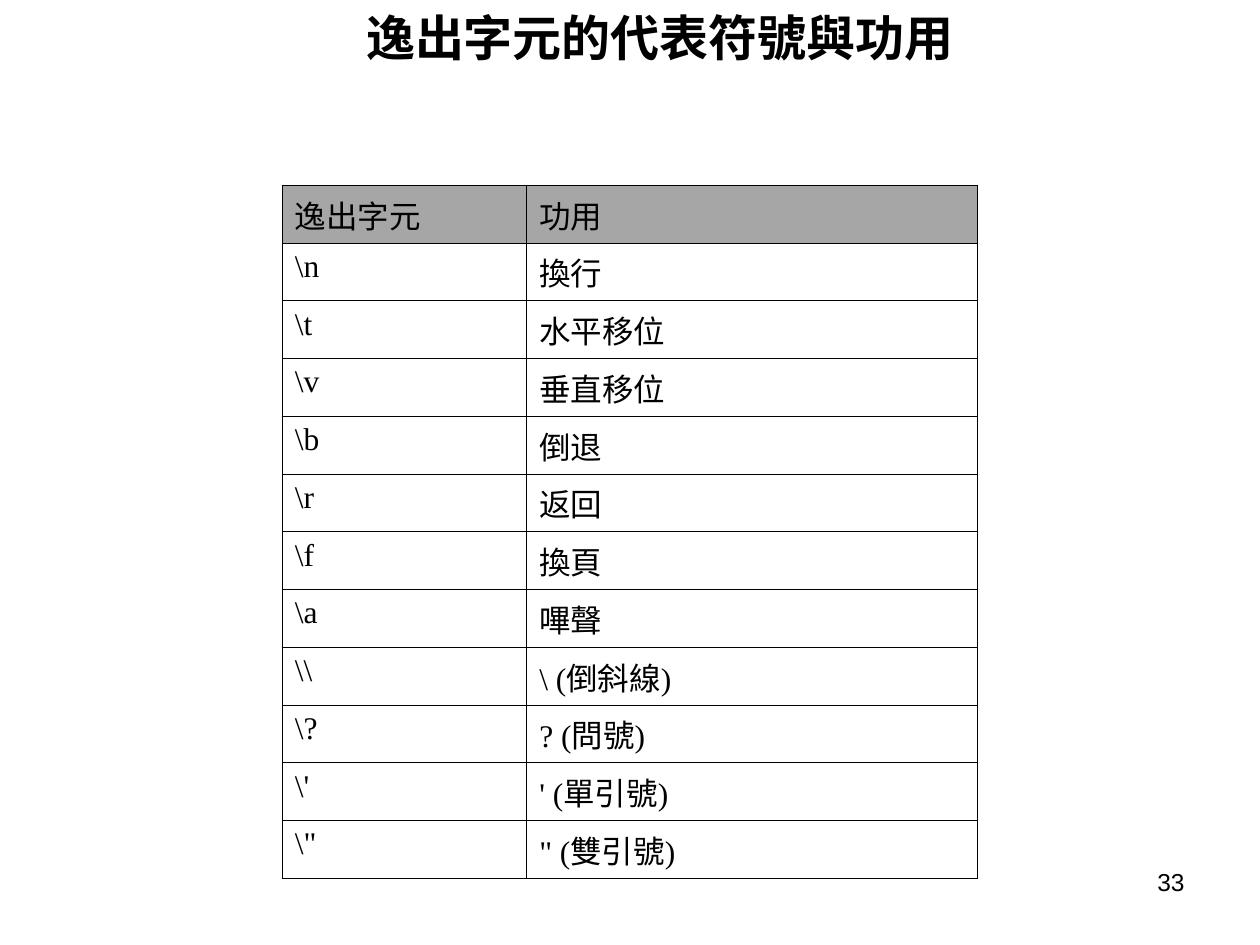
from dataclasses import dataclass

from lxml.etree import SubElement
from pptx import Presentation
from pptx.dml.color import RGBColor
from pptx.enum.text import MSO_ANCHOR as Anchor, PP_ALIGN as Align
from pptx.oxml.ns import qn
from pptx.util import Inches, Pt

BLACK = "000000"
HEADER_GRAY = "A6A6A6"
BORDER_WIDTH = Pt(0.45)
HANGING_INDENT = Inches(0.38)
TABLE_HEIGHT = 5.5
COLUMN_WIDTHS = (1.94, 3.58)


@dataclass
class Escape:
    symbol: str
    purpose: str


ROWS = [
    Escape("逸出字元", "功用"),
    Escape(r"\n", "換行"),
    Escape(r"\t", "水平移位"),
    Escape(r"\v", "垂直移位"),
    Escape(r"\b", "倒退"),
    Escape(r"\r", "返回"),
    Escape(r"\f", "換頁"),
    Escape(r"\a", "嗶聲"),
    Escape(r"\\", r"\ (倒斜線)"),
    Escape(r"\?", "? (問號)"),
    Escape(r"\'", "' (單引號)"),
    Escape(r'\"', '" (雙引號)'),
]


def color(value: str) -> RGBColor:
    return RGBColor.from_string(value)


def add_run(paragraph, text: str, size: float, font: str, bold: bool = False) -> None:
    run = paragraph.add_run()
    run.text = text
    run.font.size = Pt(size)
    run.font.name = font
    run.font.bold = bold
    run.font.color.rgb = color(BLACK)


def add_text(slide, box: tuple, text: str, size: float, align: Align,
             anchor: Anchor = Anchor.TOP, bold: bool = False) -> None:
    shape = slide.shapes.add_textbox(*map(Inches, box))
    frame = shape.text_frame
    frame.word_wrap = True
    frame.vertical_anchor = anchor
    paragraph = frame.paragraphs[0]
    paragraph.alignment = align
    add_run(paragraph, text, size, "Arial", bold)


def add_borders(cell) -> None:
    properties = cell._tc.get_or_add_tcPr()
    for side in ("a:lnL", "a:lnR", "a:lnT", "a:lnB"):
        line = SubElement(properties, qn(side), w=str(int(BORDER_WIDTH)))
        fill = SubElement(line, qn("a:solidFill"))
        SubElement(fill, qn("a:srgbClr"), val=BLACK)


def fill_cell(cell, text: str, is_header: bool) -> None:
    add_borders(cell)
    if is_header:
        cell.fill.solid()
        cell.fill.fore_color.rgb = color(HEADER_GRAY)
    else:
        cell.fill.background()
    paragraph = cell.text_frame.paragraphs[0]
    properties = paragraph._p.get_or_add_pPr()
    properties.set("marL", str(int(HANGING_INDENT)))
    properties.set("indent", str(-int(HANGING_INDENT)))
    add_run(paragraph, text, 18, "Times New Roman")


def add_escape_table(slide) -> None:
    frame = slide.shapes.add_table(
        len(ROWS), len(COLUMN_WIDTHS), Inches(2.24), Inches(1.47),
        Inches(sum(COLUMN_WIDTHS)), Inches(TABLE_HEIGHT))
    table = frame.table
    table.first_row = False
    table.horz_banding = False
    for column, width in zip(table.columns, COLUMN_WIDTHS):
        column.width = Inches(width)
    for index, (row, escape) in enumerate(zip(table.rows, ROWS)):
        row.height = Inches(TABLE_HEIGHT / len(ROWS))
        for cell, text in zip(row.cells, (escape.symbol, escape.purpose)):
            fill_cell(cell, text, is_header=index == 0)


def main() -> None:
    presentation = Presentation()
    presentation.slide_width = Inches(10)
    presentation.slide_height = Inches(7.5)
    slide = presentation.slides.add_slide(presentation.slide_layouts[6])
    add_text(slide, (1.06, 0, 8.44, 0.58), "逸出字元的代表符號與功用 ", 28,
             Align.CENTER, Anchor.MIDDLE, bold=True)
    add_escape_table(slide)
    add_text(slide, (7.17, 6.83, 2.33, 0.52), "33", 14, Align.RIGHT)
    presentation.save("out.pptx")


if __name__ == "__main__":
    main()
